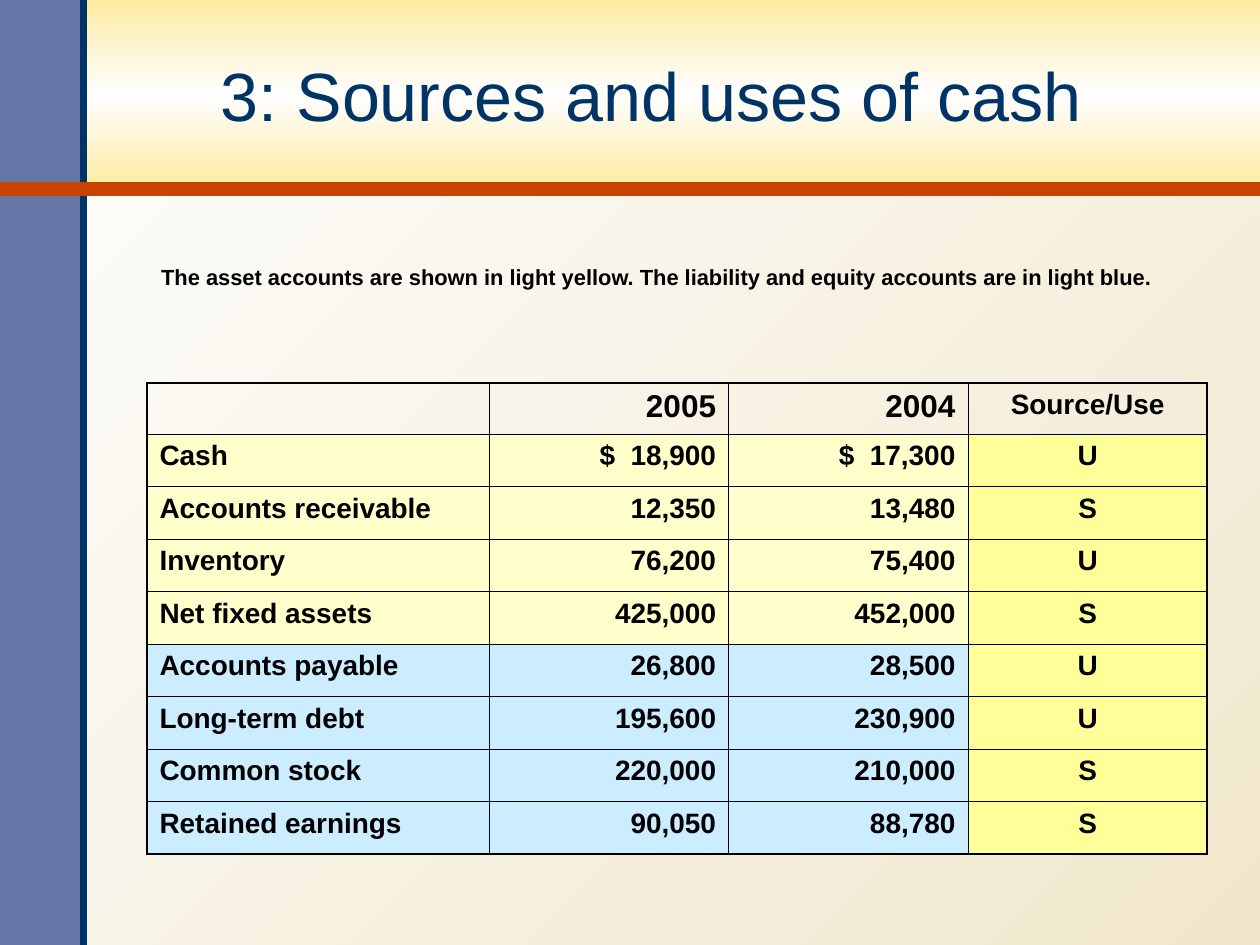
from lxml import etree
from pptx import Presentation
from pptx.dml.color import RGBColor
from pptx.enum import shapes, text
from pptx.oxml.ns import qn
from pptx.util import Pt

NAVY = RGBColor(0x00, 0x33, 0x66)
SLATE = RGBColor(0x64, 0x75, 0xA6)
ORANGE = RGBColor(0xC8, 0x43, 0x00)
BLACK = RGBColor(0x00, 0x00, 0x00)
SAND = RGBColor(0xF1, 0xE7, 0xCD)
GOLD = RGBColor(0xFD, 0xEB, 0xA1)
WHITE = RGBColor(0xFE, 0xFE, 0xFE)
ASSET_YELLOW = RGBColor(0xFF, 0xFF, 0xCC)
CLAIM_BLUE = RGBColor(0xCC, 0xEC, 0xFF)
USE_YELLOW = RGBColor(0xFF, 0xFF, 0x99)

FONT = "Arial"
WIDTH, HEIGHT = 720, 540
THIN, THICK = 0.45, 1.08
HEADER = ("", "2005", "2004", "Source/Use")
ASSETS = [
    ("Cash", "$  18,900", "$  17,300", "U"),
    ("Accounts receivable", "12,350", "13,480", "S"),
    ("Inventory", "76,200", "75,400", "U"),
    ("Net fixed assets", "425,000", "452,000", "S"),
]
CLAIMS = [
    ("Accounts payable", "26,800", "28,500", "U"),
    ("Long-term debt", "195,600", "230,900", "U"),
    ("Common stock", "220,000", "210,000", "S"),
    ("Retained earnings", "90,050", "88,780", "S"),
]
ALIGN = text.PP_ALIGN
COLUMN_ALIGN = (ALIGN.LEFT, ALIGN.RIGHT, ALIGN.RIGHT, ALIGN.CENTER)


def paint_gradient(owner, colors, angle):
    owner.fill.gradient()
    owner.fill.gradient_angle = angle
    stops = next(owner.element.iter(qn("a:gsLst")))
    for stop in list(stops):
        stops.remove(stop)
    for index, color in enumerate(colors):
        position = round(100000 * index / (len(colors) - 1))
        stop = etree.SubElement(stops, qn("a:gs"), pos=str(position))
        etree.SubElement(stop, qn("a:srgbClr"), val=str(color))


def style_text(para, size, color, bold=False):
    for span in para.runs:
        span.font.name = FONT
        span.font.size = Pt(size)
        span.font.bold = bold
        span.font.color.rgb = color


def add_band(page, left, top, width, height):
    band = page.shapes.add_shape(
        shapes.MSO_SHAPE.RECTANGLE, Pt(left), Pt(top), Pt(width), Pt(height))
    band.shadow.inherit = False
    band.line.fill.background()
    return band


def add_rule(page, start, end, color, weight):
    rule = page.shapes.add_connector(
        shapes.MSO_CONNECTOR.STRAIGHT, *map(Pt, start), *map(Pt, end))
    rule.line.color.rgb = color
    rule.line.width = Pt(weight)
    etree.SubElement(rule.element.spPr, qn("a:effectLst"))


def add_backdrop(page, width, height, side=48, head=108):
    paint_gradient(page.background, (SAND, WHITE), 135)
    paint_gradient(add_band(page, 0, 0, width, head), (GOLD, WHITE, GOLD), 270)
    sidebar = add_band(page, 0, 0, side, height)
    sidebar.fill.solid()
    sidebar.fill.fore_color.rgb = SLATE
    add_rule(page, (side, height), (side, 0), NAVY, 4)
    add_rule(page, (0, head), (width, head), ORANGE, 8)


def place_placeholder(box, left, top, width, height, wording):
    box.element.getparent().append(box.element)
    box.left, box.top = Pt(left), Pt(top)
    box.width, box.height = Pt(width), Pt(height)
    frame = box.text_frame
    frame.auto_size = text.MSO_AUTO_SIZE.NONE
    frame.word_wrap = True
    frame.text = wording
    return frame


def fill_title(page, left, top, width, height):
    frame = place_placeholder(page.shapes.title, left, top, width, height,
                              "3: Sources and uses of cash")
    frame.vertical_anchor = text.MSO_ANCHOR.MIDDLE
    para = frame.paragraphs[0]
    para.alignment = ALIGN.CENTER
    style_text(para, 39, NAVY)


def fill_note(page, left, top, width, height):
    frame = place_placeholder(
        page.placeholders[1], left, top, width, height,
        "The asset accounts are shown in light yellow. "
        "The liability and equity accounts are in light blue.")
    frame.margin_top = Pt(36)
    frame.vertical_anchor = text.MSO_ANCHOR.TOP
    para = frame.paragraphs[0]
    properties = para._p.get_or_add_pPr()
    properties.set("marL", str(Pt(18.7)))
    properties.set("indent", "0")
    etree.SubElement(properties, qn("a:buNone"))
    para.line_spacing = 0.6
    para.space_before = Pt(0)
    style_text(para, 12.5, BLACK, bold=True)


def set_borders(cell, weights):
    properties = cell._tc.get_or_add_tcPr()
    for index, (side, weight) in enumerate(zip("LRTB", weights)):
        line = etree.Element(qn("a:ln" + side), w=str(Pt(weight)))
        paint = etree.SubElement(line, qn("a:solidFill"))
        etree.SubElement(paint, qn("a:srgbClr"), val=str(BLACK))
        properties.insert(index, line)


def add_accounts(page, left, top, width, height, label=195.6, head=29.2):
    rows = [HEADER, *ASSETS, *CLAIMS]
    last_row, last_column = len(rows) - 1, len(HEADER) - 1
    table = page.shapes.add_table(
        len(rows), len(HEADER), Pt(left), Pt(top), Pt(width), Pt(height)).table
    table.first_row = table.horz_banding = False
    for c, column in enumerate(table.columns):
        column.width = Pt(label if c == 0 else (width - label) / last_column)
    for r, values in enumerate(rows):
        table.rows[r].height = Pt(head if r == 0 else (height - head) / last_row)
        for c, value in enumerate(values):
            cell = table.cell(r, c)
            if r == 0:
                cell.fill.background()
            else:
                row_color = ASSET_YELLOW if r <= len(ASSETS) else CLAIM_BLUE
                cell.fill.solid()
                cell.fill.fore_color.rgb = USE_YELLOW if c == last_column else row_color
            edges = (c == 0, c == last_column, r == 0, r == last_row)
            set_borders(cell, [THICK if edge else THIN for edge in edges])
            if value:
                cell.text_frame.text = value
                para = cell.text_frame.paragraphs[0]
                para.alignment = COLUMN_ALIGN[c]
                style_text(para, 18 if r == 0 and c < last_column else 16, BLACK, bold=True)


def main():
    deck = Presentation()
    deck.slide_width, deck.slide_height = Pt(WIDTH), Pt(HEIGHT)
    page = deck.slides.add_slide(deck.slide_layouts[1])
    add_backdrop(page, WIDTH, HEIGHT)
    fill_title(page, 46.8, 10.8, 650.9, 86.4)
    fill_note(page, 66.2, 120.2, 617.8, 84.2)
    add_accounts(page, 84, 218.9, 606, 269.2)
    deck.save("out.pptx")


if __name__ == "__main__":
    main()
